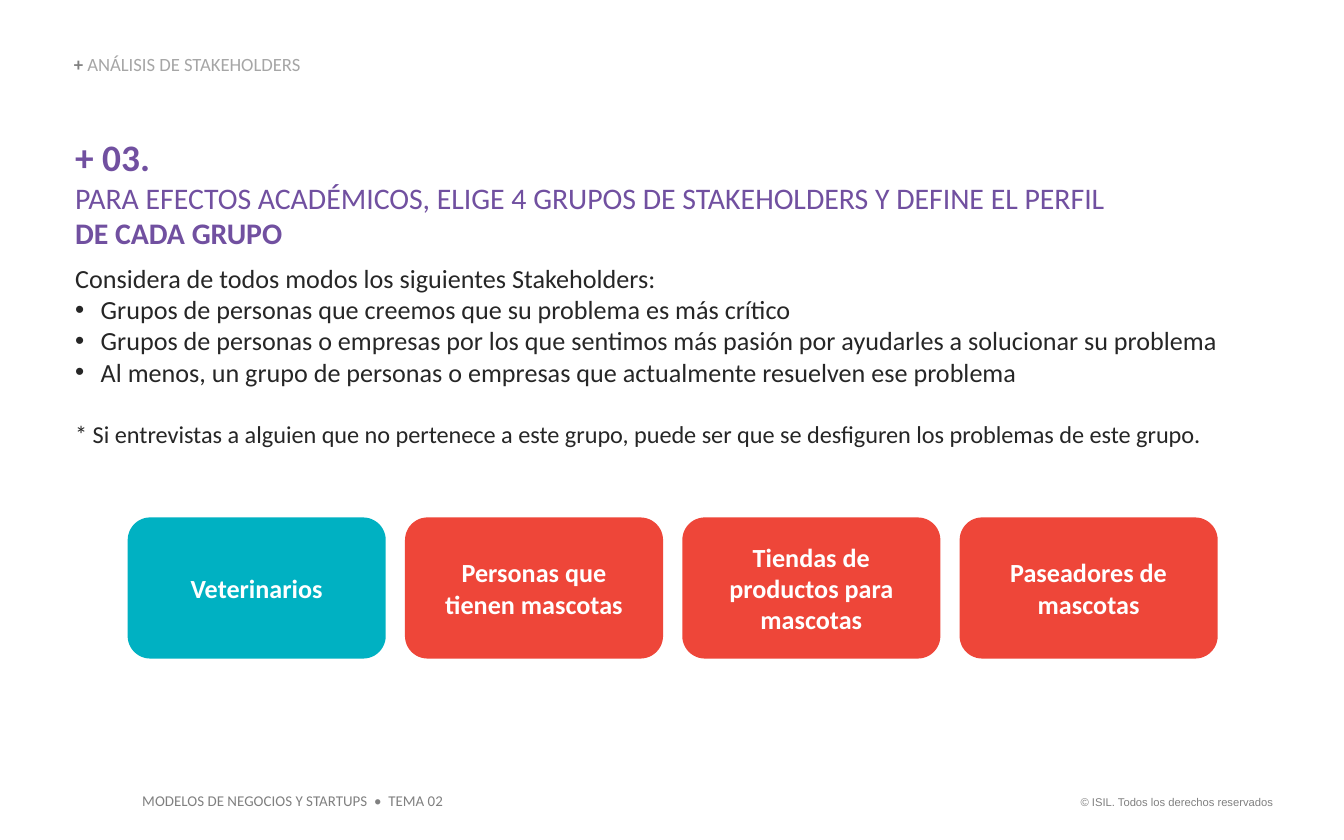
from copy import deepcopy

from lxml.etree import SubElement
from pptx import Presentation
from pptx.dml.color import RGBColor
from pptx.enum.shapes import MSO_SHAPE
from pptx.enum.text import MSO_ANCHOR, PP_ALIGN
from pptx.oxml.ns import qn
from pptx.util import Pt

PX = 9144
COLORS = {
    "purple": "7150A0",
    "ink": "262626",
    "gray": "808080",
    "light": "A6A6A6",
    "teal": "00B1C2",
    "red": "EE4639",
    "white": "FFFFFF",
}
CRITERIA = [
    "Grupos de personas que creemos que su problema es más crítico",
    "Grupos de personas o empresas por los que sentimos más pasión por ayudarles a solucionar su problema",
    "Al menos, un grupo de personas o empresas que actualmente resuelven ese problema",
]
GROUPS = [
    ("Veterinarios", "teal"),
    ("Personas que tienen mascotas", "red"),
    ("Tiendas de productos para mascotas", "red"),
    ("Paseadores de mascotas", "red"),
]


def emu(*lengths):
    return [round(length * PX) for length in lengths]


def color(name):
    return RGBColor.from_string(COLORS[name])


def add_box(slide, box, wrap=True, inset=True, anchor=MSO_ANCHOR.TOP):
    frame = slide.shapes.add_textbox(*emu(*box)).text_frame
    frame.word_wrap = wrap
    frame.vertical_anchor = anchor
    if not inset:
        frame.margin_left = frame.margin_right = 0
        frame.margin_top = frame.margin_bottom = 0
    return frame


def write(paragraph, text, size=14, hue="ink", bold=False, font="Calibri", line_break=False):
    run = paragraph.add_run()
    run.text = text
    run.font.size = Pt(size)
    run.font.bold = bold
    run.font.name = font
    run.font.color.rgb = color(hue)
    if line_break:
        paragraph.add_line_break()
        paragraph._p[-1].append(deepcopy(run._r.rPr))


def indent(paragraph, left, hanging=0, bullet=None):
    properties = paragraph._p.get_or_add_pPr()
    margin, first = emu(left, -hanging)
    properties.set("marL", str(margin))
    properties.set("indent", str(first))
    if bullet:
        tint = SubElement(properties, qn("a:buClr"))
        SubElement(tint, qn("a:srgbClr"), val=COLORS["ink"])
        SubElement(properties, qn("a:buFont"), typeface="Arial")
        SubElement(properties, qn("a:buChar"), char=bullet)


def draw_header(slide, box):
    frame = add_box(slide, box, inset=False, anchor=MSO_ANCHOR.BOTTOM)
    topic = frame.paragraphs[0]
    topic.line_spacing = 0.9
    write(topic, "+ ", size=10, hue="gray", bold=True)
    write(topic, "ANÁLISIS DE STAKEHOLDERS", size=10, hue="light")


def draw_instructions(slide, box):
    frame = add_box(slide, box, inset=False)
    title = frame.paragraphs[0]
    indent(title, 1)
    title.space_after = Pt(6)
    write(title, "+ 03.", size=20, hue="purple", bold=True, line_break=True)
    write(title, "PARA EFECTOS ACADÉMICOS, ELIGE 4 GRUPOS DE STAKEHOLDERS Y DEFINE EL PERFIL",
          size=16, hue="purple", line_break=True)
    write(title, "DE CADA GRUPO", size=16, hue="purple", bold=True)

    intro = frame.add_paragraph()
    indent(intro, 1)
    write(intro, "Considera de todos modos los siguientes Stakeholders:")

    for criterion in CRITERIA:
        item = frame.add_paragraph()
        indent(item, 20, hanging=19, bullet="•")
        write(item, criterion)

    note = frame.add_paragraph()
    indent(note, 1)
    note.space_before = Pt(17)
    write(note, "* Si entrevistas a alguien que no pertenece a este grupo, "
                "puede ser que se desfiguren los problemas de este grupo.", size=13)


def draw_groups(slide, box, card_width=192):
    left, top, width, height = box
    step = (width - card_width) / (len(GROUPS) - 1)
    for index, (group, hue) in enumerate(GROUPS):
        card = slide.shapes.add_shape(
            MSO_SHAPE.ROUNDED_RECTANGLE, *emu(left + index * step, top, card_width, height))
        card.adjustments[0] = 0.16
        card.shadow.inherit = False
        card.fill.solid()
        card.fill.fore_color.rgb = color(hue)
        card.line.fill.background()
        frame = card.text_frame
        frame.word_wrap = True
        frame.vertical_anchor = MSO_ANCHOR.MIDDLE
        label = frame.paragraphs[0]
        label.alignment = PP_ALIGN.CENTER
        write(label, group, hue="white", bold=True)


def draw_footer(slide, box):
    left, top, width, height = box
    course = add_box(slide, (left, top, 245, height), wrap=False).paragraphs[0]
    write(course, "MODELOS DE NEGOCIOS Y STARTUPS  •  TEMA 02", size=8, hue="gray")
    rights = add_box(slide, (left + width - 169, top + 3, 169, 20), wrap=False).paragraphs[0]
    rights.alignment = PP_ALIGN.RIGHT
    write(rights, "© ISIL. Todos los derechos reservados", size=6, hue="gray", font="Arial")


def main():
    deck = Presentation()
    deck.slide_width, deck.slide_height = emu(1000, 625)
    slide = deck.slides.add_slide(deck.slide_layouts[6])
    draw_footer(slide, (96, 584, 861, 24))
    draw_header(slide, (55, 41, 425, 15))
    draw_instructions(slide, (55, 100, 894, 236))
    draw_groups(slide, (95, 385, 811, 105))
    deck.save("out.pptx")


if __name__ == "__main__":
    main()
